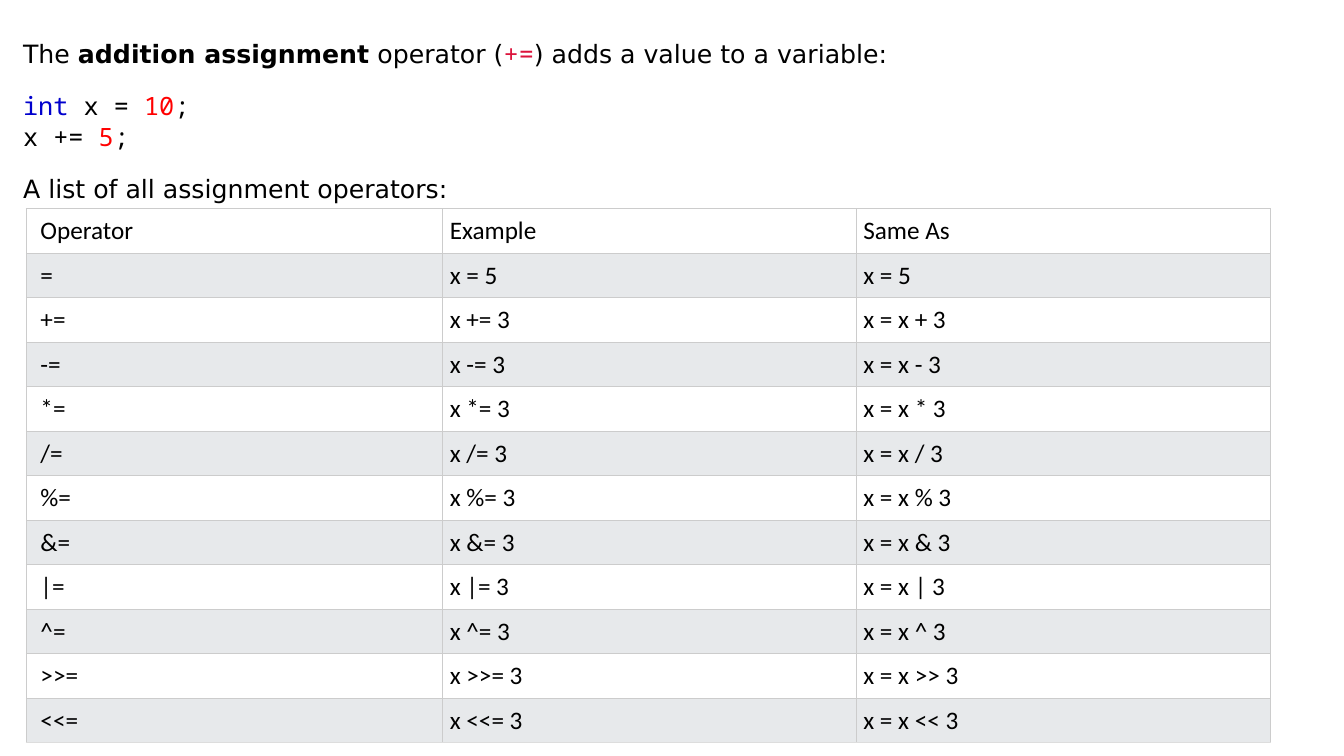
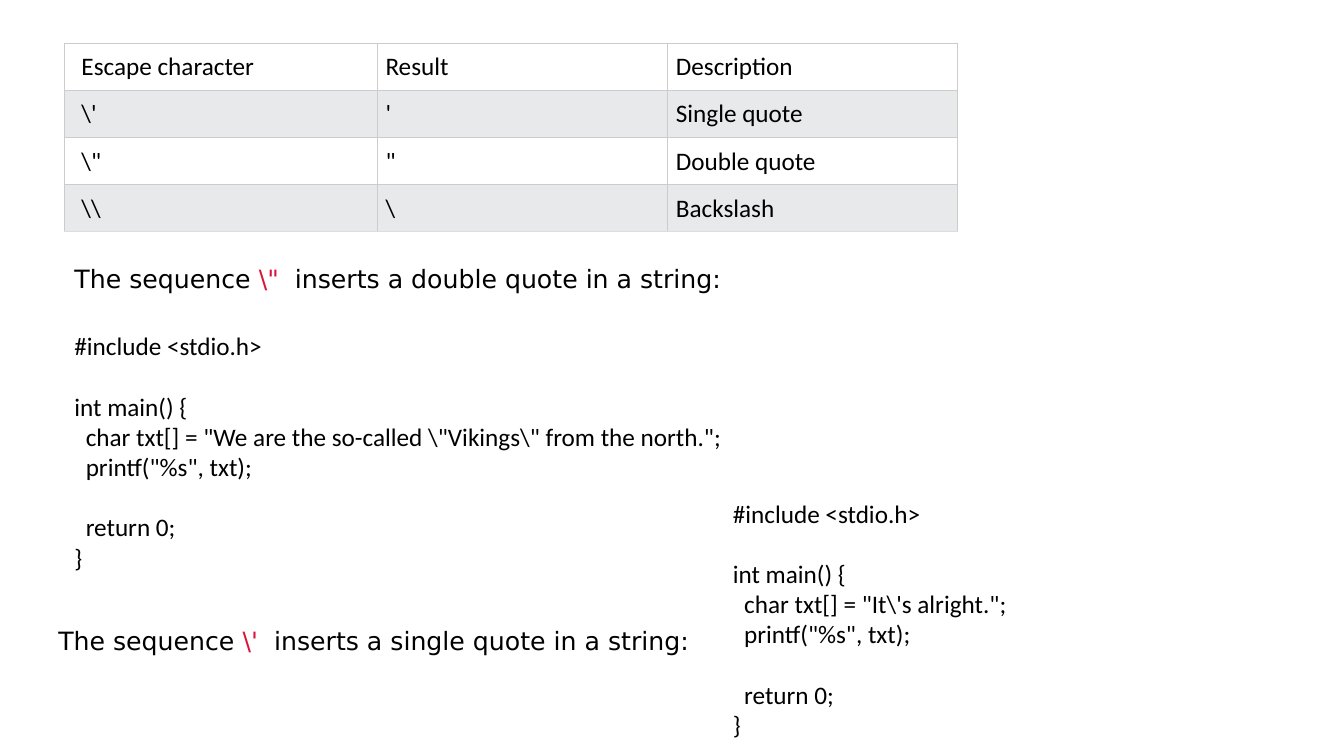
from pptx import Presentation, oxml, util as u
from pptx.dml.color import RGBColor
from pptx.enum import shapes, text
from pptx.oxml import ns

COLORS = {
    "ink": "000000", "page": "FFFFFF", "band": "E7E9EB", "grid": "CCCCCC",
    "grid_end": "DDDDDD", "accent": "DC143C", "keyword": "0000CD", "number": "FF0000",
}
PROSE, MONO, BODY = "DejaVu Sans", "Noto Sans Mono", "Calibri"
SIZE = u.Pt(18)
LINE = u.Pt(21.5)
INDENT = u.Pt(8.1)
WIDTH, HEIGHT = u.Inches(13.33), u.Inches(7.5)


def place(left, top, width, height):
    """Turn percentages of the slide's size into lengths."""
    return tuple(int(part * side / 100) for part, side in
                 zip((left, top, width, height), (WIDTH, HEIGHT) * 2))


def rgb(name):
    """Look up a colour of the palette."""
    return RGBColor.from_string(COLORS[name])


def add_runs(p, runs):
    """Append styled runs to a paragraph."""
    for words, font, color, bold in ((*run, "ink", False)[:4] if len(run) == 2 else
                                     (*run, False)[:4] for run in runs):
        r = p.add_run()
        r.text = words
        r.font.size, r.font.name, r.font.bold = SIZE, font, bold
        r.font.color.rgb = rgb(color)


def fill_text(sp, lines, anchor=text.MSO_ANCHOR.TOP):
    """Fill a shape with left-aligned lines of runs and return its frame."""
    tf = sp.text_frame
    tf.word_wrap, tf.vertical_anchor = True, anchor
    for i, runs in enumerate(lines):
        p = tf.add_paragraph() if i else tf.paragraphs[0]
        p.alignment = text.PP_ALIGN.LEFT
        add_runs(p, runs)
    return tf


def add_sentence(s, box, *runs):
    """Write one line of prose, centred in the height of its box."""
    fill_text(s.shapes.add_textbox(*place(*box)), [runs], text.MSO_ANCHOR.MIDDLE)


def add_headline(s, box, *runs):
    """Write one line of prose on a plain rectangle."""
    sp = s.shapes.add_shape(shapes.MSO_SHAPE.RECTANGLE, *place(*box))
    sp.shadow.inherit = False
    sp.fill.solid()
    sp.fill.fore_color.rgb = rgb("page")
    sp.line.fill.background()
    fill_text(sp, [runs], text.MSO_ANCHOR.MIDDLE)


def add_snippet(s, box, first, second):
    """Write two lines of code in one paragraph."""
    p = fill_text(s.shapes.add_textbox(*place(*box)), [first]).paragraphs[0]
    p.add_line_break()
    add_runs(p, second)


def add_program(s, box, declaration):
    """Write a small C program around a declaration."""
    code = [("#include <stdio.h>", 0, 0), ("int main() {", 0, 1), (declaration, 1, 0),
            ('printf("%s", txt);', 1, 0), ("return 0;", 1, 1), ("}", 0, 0)]
    tf = fill_text(s.shapes.add_textbox(*place(*box)), [[(line, BODY)] for line, _, _ in code])
    for p, (_, depth, gap) in zip(tf.paragraphs, code):
        p.space_before = LINE * gap
        p._p.get_or_add_pPr().set("marL", str(INDENT * depth))


def add_borders(cell, last):
    """Draw thin lines on the four sides of a cell."""
    tcPr = cell._tc.get_or_add_tcPr()
    for side in "LRTB":
        color = COLORS["grid_end" if last and side == "B" else "grid"]
        tcPr.append(oxml.parse_xml(
            f'<a:ln{side} {ns.nsdecls("a")} w="{u.Pt(0.75)}"><a:solidFill>'
            f'<a:srgbClr val="{color}"/></a:solidFill></a:ln{side}>'))


def add_banded_table(s, box, rows, shares, pad_share):
    """Lay out a banded table with columns as shares of the box."""
    left, top, width, height = place(*box)
    table = s.shapes.add_table(len(rows), len(shares), left, top, width, height).table
    table.first_row = table.horz_banding = False
    row_height = height // len(rows)
    pad = int(row_height * pad_share)
    for column, share in zip(table.columns, shares):
        column.width = int(width * share / sum(shares))
    for i, values in enumerate(rows):
        table.rows[i].height = row_height
        for j, value in enumerate(values):
            cell = table.cell(i, j)
            add_borders(cell, i == len(rows) - 1)
            cell.fill.solid()
            cell.fill.fore_color.rgb = rgb("band" if i % 2 else "page")
            cell.margin_left = pad if j else 2 * pad
            cell.margin_top = cell.margin_right = pad
            cell.margin_bottom = 0
            add_runs(cell.text_frame.paragraphs[0], [(value, BODY)])


def build_operators(s):
    """Build the slide on assignment operators."""
    add_headline(s, (0.98, 4.4, 94.6, 5.33), ("The ", PROSE),
                 ("addition assignment", PROSE, "ink", True), (" operator (", PROSE),
                 ("+=", MONO, "accent"), (") adds a value to a variable:", PROSE))
    add_snippet(s, (0.98, 11.33, 50, 9.47),
                [("int", MONO, "keyword"), (" x = ", MONO), ("10", MONO, "number"), (";", MONO)],
                [("x += ", MONO), ("5", MONO, "number"), (";", MONO)])
    add_sentence(s, (0.98, 22.27, 50, 5.33), ("A list of all assignment operators:", PROSE))
    rows = [("Operator", "Example", "Same As"), ("=", "x = 5", "x = 5")]
    rows += [(f"{op}=", f"x {op}= 3", f"x = x {op} 3")
             for op in ("+", "-", "*", "/", "%", "&", "|", "^", ">>", "<<")]
    add_banded_table(s, (1.95, 27.6, 92.6, 70.67), rows, (4.13, 4.1, 4.11), 0.16)


def build_escapes(s):
    """Build the slide on escape characters."""
    rows = [("Escape character", "Result", "Description"), ("\\'", "'", "Single quote"),
            ('\\"', '"', "Double quote"), ("\\\\", "\\", "Backslash")]
    add_banded_table(s, (4.8, 5.73, 66.47, 24.93), rows, (3.1, 2.88, 2.88), 0.18)
    examples = [
        ('\\"', "double", (4.8, 34.13, 68.57, 5.33), (4.8, 43.07, 50, 33.6),
         'char txt[] = "We are the so-called \\"Vikings\\" from the north.";'),
        ("\\'", "single", (3.6, 82, 62.4, 5.33), (53.79, 65.2, 46, 33.6),
         'char txt[] = "It\\\'s alright.";')]
    for mark, kind, sentence_box, program_box, declaration in examples:
        add_sentence(s, sentence_box, ("The sequence ", PROSE), (mark, PROSE, "accent"),
                     (f"  inserts a {kind} quote in a string:", PROSE))
        add_program(s, program_box, declaration)


def main():
    """Build and save the presentation."""
    prs = Presentation()
    prs.slide_width, prs.slide_height = WIDTH, HEIGHT
    for build in (build_operators, build_escapes):
        build(prs.slides.add_slide(prs.slide_layouts[6]))
    prs.save("out.pptx")


if __name__ == "__main__":
    main()
